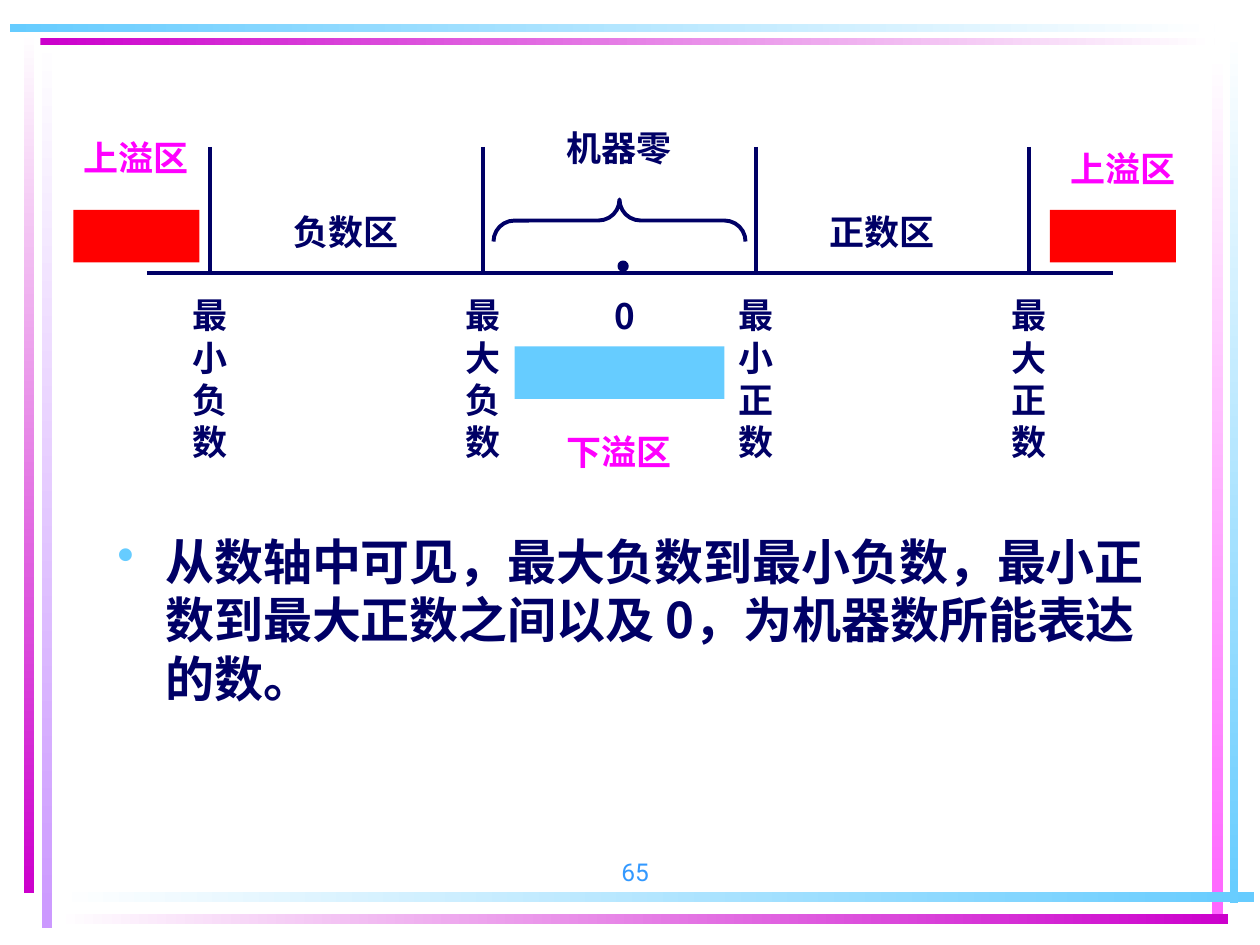
from lxml.etree import SubElement
from pptx import Presentation
from pptx.dml.color import RGBColor
from pptx.enum.shapes import MSO_CONNECTOR, MSO_SHAPE
from pptx.enum.text import MSO_ANCHOR, PP_ALIGN
from pptx.oxml.ns import qn
from pptx.util import Inches, Pt

NAVY = RGBColor(0x00, 0x00, 0x66)
SKY = RGBColor(0x66, 0xCC, 0xFF)
BLUE = RGBColor(0x33, 0x99, 0xFF)
RED = RGBColor(0xFF, 0x00, 0x00)
PINK = RGBColor(0xFF, 0x00, 0xFF)
ROSE = RGBColor(0xFF, 0x66, 0xFF)
PLUM = RGBColor(0xCC, 0x00, 0xCC)
LILAC = RGBColor(0xCC, 0x99, 0xFF)
WHITE = RGBColor(0xFF, 0xFF, 0xFF)
CJK = "Noto Sans CJK SC"
LATIN = "Roboto"
COLS, ROWS = 120, 90
CELL = Inches(10) / COLS


def grid(*cells):
    return [round(n * CELL) for n in cells]


def shift(box, x, y, w, h):
    return box[0] + x, box[1] + y, w, h


def shape(slide, kind, box, fill=None, line=None):
    item = slide.shapes.add_shape(kind, *grid(*box))
    item.shadow.inherit = False
    if fill is None:
        item.fill.background()
    else:
        item.fill.solid()
        item.fill.fore_color.rgb = fill
    if line is None:
        item.line.fill.background()
    else:
        item.line.color.rgb = line
        item.line.width = Pt(2.25)
    return item


def stroke(slide, x1, y1, x2, y2):
    line = slide.shapes.add_connector(MSO_CONNECTOR.STRAIGHT, *grid(x1, y1, x2, y2))
    line.line.color.rgb = NAVY
    line.line.width = Pt(2.25)
    SubElement(line._element.spPr, qn("a:effectLst"))


def style(font, size, color, bold, name):
    font.size = Pt(size)
    font.color.rgb = color
    font.bold = bold
    font.name = name


def frame(slide, box):
    text = slide.shapes.add_textbox(*grid(*box)).text_frame
    text.word_wrap = True
    return text


def label(slide, box, words, color=NAVY):
    text = frame(slide, box)
    text.margin_left = text.margin_right = text.margin_top = text.margin_bottom = 0
    para = text.paragraphs[0]
    para.text = words
    para.alignment = PP_ALIGN.CENTER
    style(para.font, 20, color, True, CJK)


def border(slide, box):
    wide, high = box[2:]
    bars = [
        (0.033, 0.038, 0.008, 0.944, WHITE, LILAC),
        (0.019, 0.033, 0.008, 0.912, WHITE, PLUM),
        (0.976, 0.032, 0.007, 0.924, WHITE, SKY),
        (0.962, 0.056, 0.009, 0.911, WHITE, ROSE),
        (0.045, 0.944, 0.95, 0.011, WHITE, SKY),
        (0.045, 0.967, 0.93, 0.011, WHITE, PLUM),
        (0.032, 0.04, 0.932, 0.008, PLUM, WHITE),
        (0.008, 0.025, 0.956, 0.009, SKY, WHITE),
    ]
    for x, y, w, h, start, end in bars:
        place = shift(box, x * wide, y * high, w * wide, h * high)
        bar = shape(slide, MSO_SHAPE.RECTANGLE, place)
        bar.fill.gradient()
        bar.fill.gradient_angle = 270 if h > w else 0
        for stop, color in zip(bar.fill.gradient_stops, (start, end)):
            stop.color.rgb = color


def axis(slide, box):
    left, top = box[:2]
    base = top + 14
    stroke(slide, left + 7, base, left + 99, base)
    for i, words in enumerate(["最小负数", "最大负数", "最小正数", "最大正数"]):
        tick = 13 + 26 * i
        stroke(slide, left + tick, top + 2, left + tick, base)
        label(slide, shift(box, tick - 2, 16, 4, 16), words)
    shape(slide, MSO_SHAPE.FLOWCHART_CONNECTOR, shift(box, 52, 13, 0.7, 0.7), NAVY, NAVY)
    label(slide, shift(box, 51, 16, 3, 4), "0")
    brace = shape(slide, MSO_SHAPE.LEFT_BRACE, shift(box, 50, -3, 4, 24), line=NAVY)
    brace.rotation = 90
    brace.adjustments[0] = 0.5
    for x, y, words, color in [
        (20, 8, "负数区", NAVY),
        (46, 0, "机器零", NAVY),
        (71, 8, "正数区", NAVY),
        (0, 1, "上溢区", PINK),
        (94, 2, "上溢区", PINK),
        (46, 29, "下溢区", PINK),
    ]:
        label(slide, shift(box, x, y, 12, 4), words, color)
    for x, y, w, color in [(0, 8, 12, RED), (93, 8, 12, RED), (42, 21, 20, SKY)]:
        shape(slide, MSO_SHAPE.RECTANGLE, shift(box, x, y, w, 5), color)


def body(slide, box):
    para = frame(slide, box).paragraphs[0]
    props = para._p.get_or_add_pPr()
    props.set("marL", str(Inches(0.38)))
    props.set("indent", str(-Inches(0.38)))
    tint = SubElement(props, qn("a:buClr"))
    SubElement(tint, qn("a:srgbClr")).set("val", str(SKY))
    SubElement(props, qn("a:buChar")).set("char", "•")
    for words, name in [
        ("从数轴中可见，最大负数到最小负数，最小正数到最大正数之间以及 ", LATIN),
        ("0", CJK),
        ("，为机器数所能表达的数。", LATIN),
    ]:
        run = para.add_run()
        run.text = words
        style(run.font, 28, NAVY, True, name)


def number(slide, box):
    text = frame(slide, box)
    text.vertical_anchor = MSO_ANCHOR.BOTTOM
    para = text.paragraphs[0]
    para.text = "65"
    para.alignment = PP_ALIGN.RIGHT
    style(para.font, 14, BLUE, False, LATIN)


def main():
    deck = Presentation()
    deck.slide_width, deck.slide_height = grid(COLS, ROWS)
    slide = deck.slides.add_slide(deck.slide_layouts[6])
    border(slide, (0, 0, COLS, ROWS))
    body(slide, (10, 50, 102, 24))
    axis(slide, (7, 12, 106, 33))
    number(slide, (38, 79, 25, 6))
    deck.save("out.pptx")


if __name__ == "__main__":
    main()
